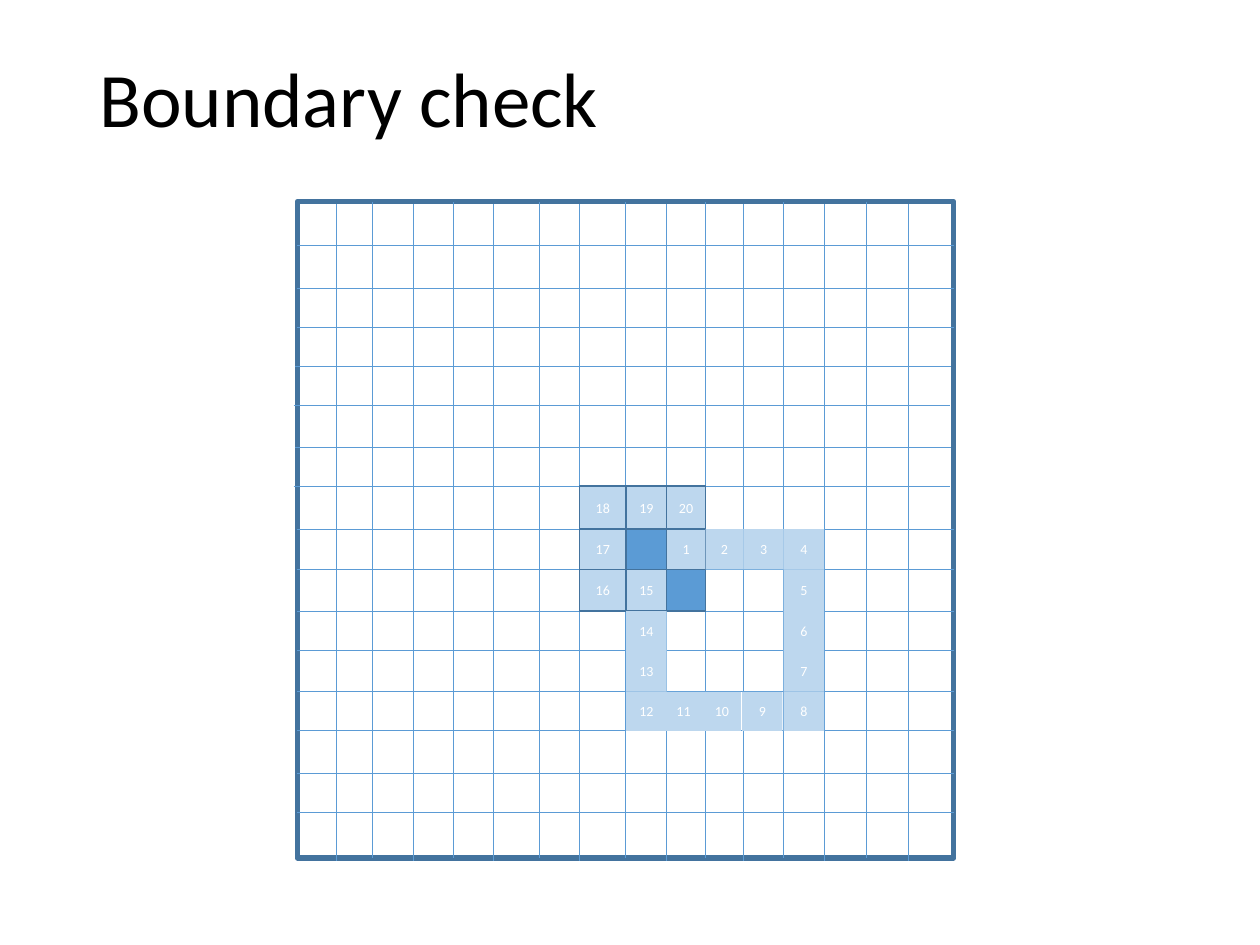
from dataclasses import dataclass

from lxml.etree import SubElement
from pptx import Presentation
from pptx.dml.color import RGBColor
from pptx.enum.shapes import MSO_CONNECTOR, MSO_SHAPE
from pptx.enum.text import MSO_ANCHOR, PP_ALIGN
from pptx.oxml.ns import qn
from pptx.shapes.autoshape import Shape
from pptx.shapes.connector import Connector
from pptx.slide import Slide
from pptx.util import Inches, Pt

FONT = "Calibri"
BLUE, PALE, DARK = "5B9BD5", "BDD7EE", "43739E"
COLUMNS = [2.36, 2.67, 2.96, 3.28, 3.6, 3.92, 4.28, 4.6, 4.97,
           5.29, 5.6, 5.9, 6.22, 6.54, 6.88, 7.21, 7.57]
ROWS = [1.6, 1.95, 2.29, 2.6, 2.91, 3.22, 3.55, 3.86, 4.2,
        4.52, 4.85, 5.16, 5.49, 5.8, 6.14, 6.45, 6.81]
LEFT, TOP, SIDE = COLUMNS[0], ROWS[0], 5.21
MIDDLE = 8
ROW_SHIFTS = {4: -0.02, 5: -0.03, 6: -0.02, 7: -0.03}


@dataclass
class Cell:
    column: int
    row: int
    label: str = ""
    fill: str = PALE
    outlined: bool = False
    shift: float = 0


CELLS = [
    Cell(7, 9, "16", outlined=True),
    Cell(7, 8, "17", outlined=True),
    Cell(9, 8, "1", outlined=True),
    Cell(8, 9, "15", outlined=True),
    Cell(7, 7, "18", outlined=True),
    Cell(8, 7, "19", outlined=True),
    Cell(9, 7, "20", outlined=True),
    Cell(8, 8, fill=BLUE, outlined=True),
    Cell(9, 9, fill=BLUE, outlined=True),
    Cell(10, 8, "2"),
    Cell(11, 8, "3"),
    Cell(12, 8, "4"),
    Cell(12, 9, "5"),
    Cell(12, 10, "6"),
    Cell(12, 11, "7"),
    Cell(9, 12, "11", shift=-0.02),
    Cell(10, 12, "10", shift=-0.02),
    Cell(11, 12, "9", shift=-0.01),
    Cell(12, 12, "8"),
    Cell(8, 11, "13"),
    Cell(8, 10, "14"),
    Cell(8, 12, "12"),
]


def colour(value: str) -> RGBColor:
    return RGBColor.from_string(value)


def add_title(page: Slide, text: str) -> None:
    box = page.shapes.add_textbox(Inches(0.69), Inches(0.17), Inches(8.62), Inches(1.28))
    frame = box.text_frame
    frame.word_wrap = True
    frame.vertical_anchor = MSO_ANCHOR.MIDDLE
    para = frame.paragraphs[0]
    para.text = text
    para.line_spacing = 0.9
    para.font.name = FONT
    para.font.size = Pt(44)
    para.font.color.rgb = colour("000000")


def add_rectangle(page: Slide, left: float, top: float, width: float, height: float,
                  fill: str | None, line_width: float) -> Shape:
    box = page.shapes.add_shape(MSO_SHAPE.RECTANGLE, Inches(left), Inches(top),
                                Inches(width), Inches(height))
    box.shadow.inherit = False
    if fill:
        box.fill.solid()
        box.fill.fore_color.rgb = colour(fill)
    else:
        box.fill.background()
    if line_width:
        box.line.color.rgb = colour(DARK)
        box.line.width = Pt(line_width)
    else:
        box.line.fill.background()
    return box


def add_grid_line(page: Slide, left: float, top: float, right: float,
                  bottom: float) -> Connector:
    line = page.shapes.add_connector(MSO_CONNECTOR.STRAIGHT, Inches(left), Inches(top),
                                     Inches(right), Inches(bottom))
    line.line.color.rgb = colour(BLUE)
    line.line.width = Pt(0.5)
    SubElement(line._element.spPr, qn("a:effectLst"))
    return line


def add_grid(page: Slide) -> None:
    board = add_rectangle(page, LEFT, TOP, SIDE, SIDE, None, 3)
    for index in range(1, len(COLUMNS) - 1):
        x, y = COLUMNS[index], ROWS[index]
        start = TOP + 0.02 * (index % 2)
        upright = add_grid_line(page, x, start, x, start + SIDE)
        start = LEFT + ROW_SHIFTS.get(index, 0)
        level = add_grid_line(page, start, y, start + SIDE, y)
        if index == MIDDLE:
            upright.begin_connect(board, 0)
            upright.end_connect(board, 2)
            level.begin_connect(board, 1)
            level.end_connect(board, 3)


def add_cell(page: Slide, cell: Cell) -> None:
    left, right = COLUMNS[cell.column:cell.column + 2]
    top, bottom = ROWS[cell.row:cell.row + 2]
    box = add_rectangle(page, left + cell.shift, top, right - left, bottom - top,
                        cell.fill, 1 if cell.outlined else 0)
    if not cell.label:
        return
    frame = box.text_frame
    frame.margin_left = frame.margin_right = 0
    frame.vertical_anchor = MSO_ANCHOR.MIDDLE
    para = frame.paragraphs[0]
    para.text = cell.label
    para.alignment = PP_ALIGN.CENTER
    para.font.name = FONT
    para.font.size = Pt(8)
    para.font.color.rgb = colour("FFFFFF")


def main() -> None:
    deck = Presentation()
    deck.slide_width, deck.slide_height = Inches(10), Inches(7.5)
    page = deck.slides.add_slide(deck.slide_layouts[6])
    add_title(page, "Boundary check")
    add_grid(page)
    for cell in CELLS:
        add_cell(page, cell)
    deck.save("out.pptx")


if __name__ == "__main__":
    main()
